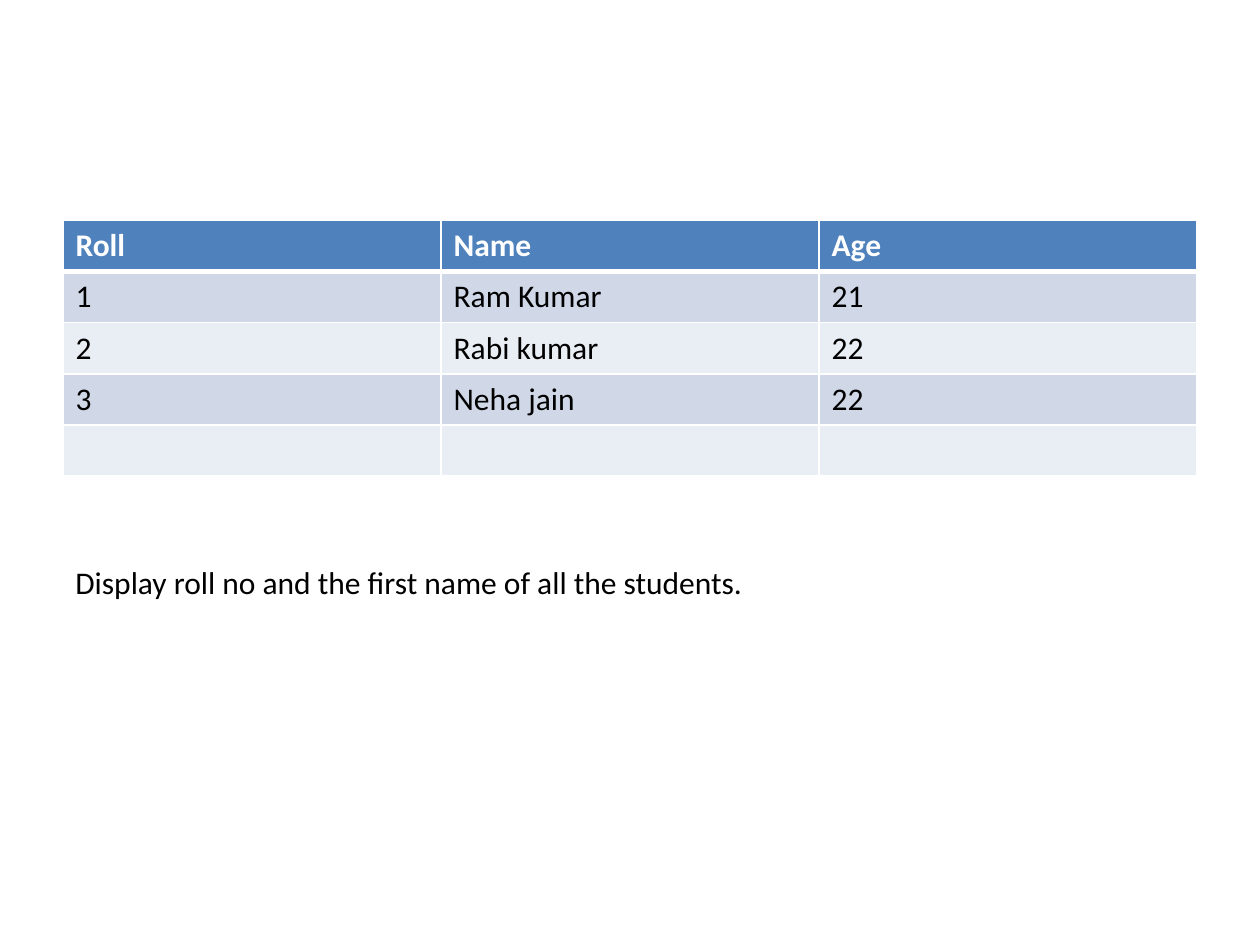
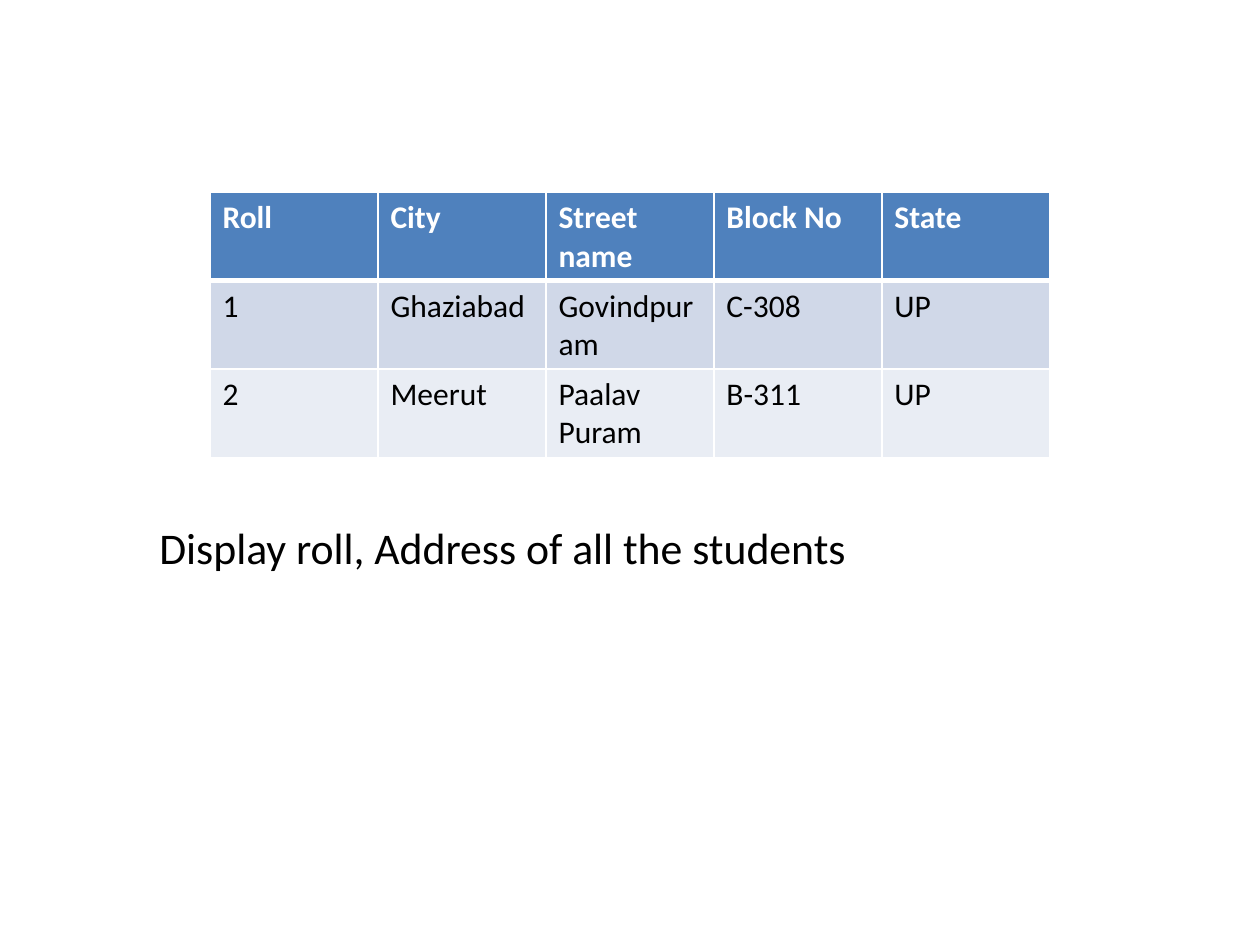
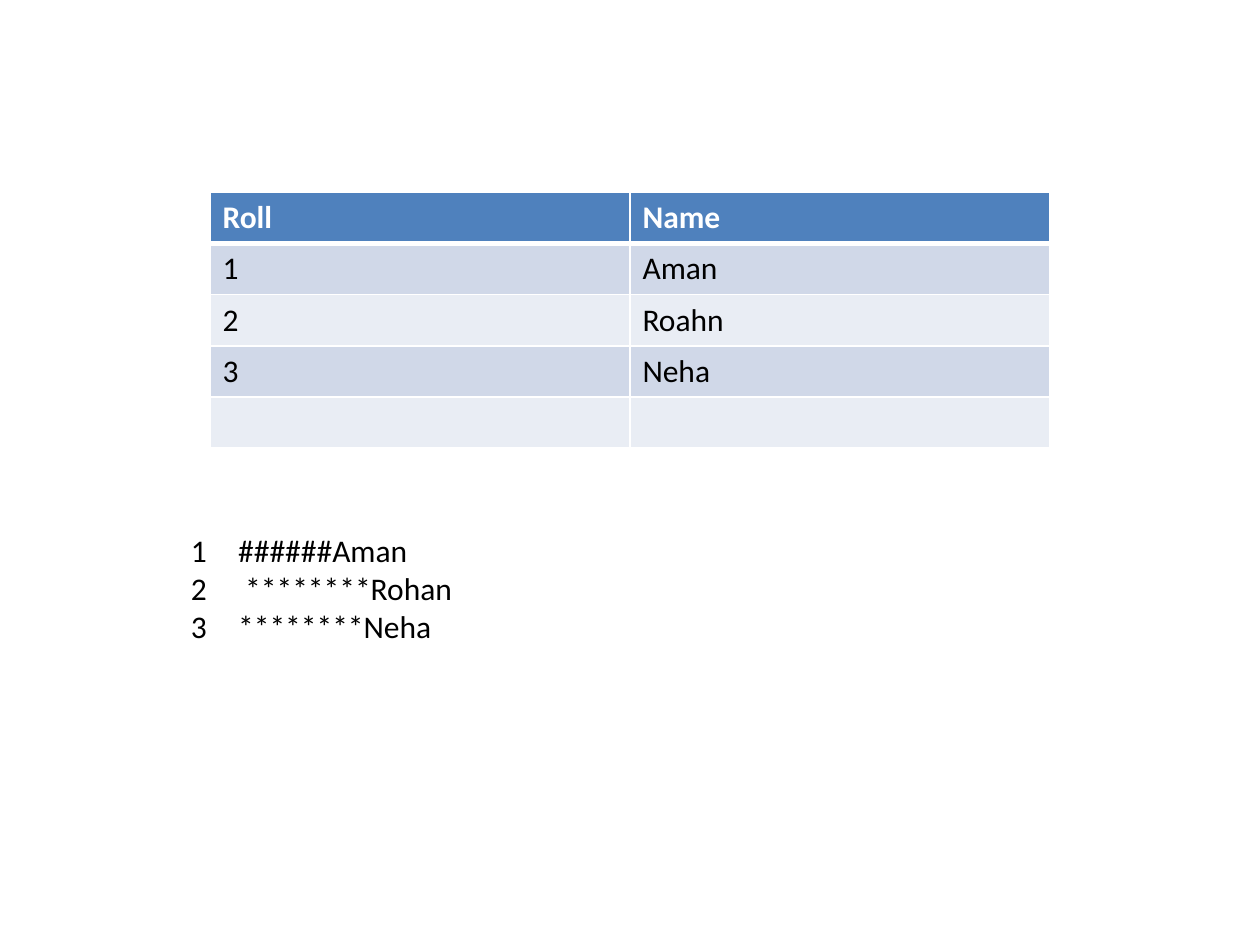
from dataclasses import dataclass

from lxml.etree import SubElement
from pptx import Presentation
from pptx.dml.color import RGBColor as Color
from pptx.enum.text import MSO_AUTO_SIZE as AutoSize
from pptx.oxml import parse_xml
from pptx.oxml.ns import nsdecls, qn
from pptx.util import Pt


@dataclass(frozen=True)
class Theme:
    font: str = "Calibri"
    header: str = "4F81BD"
    bands: tuple = ("D0D8E8", "E9EDF4")
    light: str = "FFFFFF"
    dark: str = "000000"
    normal: int = 18
    large: int = 25
    thin: int = 1
    thick: int = 3
    row_height: float = 29.2
    number_indent: int = 27


theme = Theme()


def write_text(paragraph, text, size, color, bold=False):
    if not text:
        return
    run = paragraph.add_run()
    run.text = text
    for name, value in {"name": theme.font, "size": Pt(size), "bold": bold}.items():
        setattr(run.font, name, value)
    run.font.color.rgb = Color.from_string(color)


def draw_borders(cell, widths):
    properties = cell._tc.get_or_add_tcPr()
    for position, (side, width) in enumerate(widths.items()):
        border = parse_xml(
            f'<a:{side} {nsdecls("a")} w="{Pt(width)}"><a:solidFill>'
            f'<a:srgbClr val="{theme.light}"/></a:solidFill></a:{side}>'
        )
        properties.insert(position, border)


slides = [
    {
        "table_at": (36, 126, 648),
        "rows": [
            ("Roll", "Name", "Age"),
            ("1", "Ram Kumar", "21"),
            ("2", "Rabi kumar", "22"),
            ("3", "Neha jain", "22"),
            ("", "", ""),
        ],
        "task_at": (36, 318, 582, 29),
        "task": ["Display roll no and the first name of all the students."],
        "size": theme.normal,
        "numbered": False,
    },
    {
        "table_at": (120, 110, 480),
        "rows": [
            ("Roll", "City", "Street name", "Block No", "State"),
            ("1", "Ghaziabad", "Govindpuram", "C-308", "UP"),
            ("2", "Meerut", "Paalav Puram", "B-311", "UP"),
        ],
        "task_at": (84, 294, 408, 37.5),
        "task": ["Display roll, Address of all the students"],
        "size": theme.large,
        "numbered": False,
    },
    {
        "table_at": (120, 110, 480),
        "rows": [
            ("Roll", "Name"),
            ("1", "Aman"),
            ("2", "Roahn"),
            ("3", "Neha"),
            ("", ""),
        ],
        "task_at": (102, 300, 480, 94.5),
        "task": ["######Aman", " ********Rohan", "********Neha"],
        "size": theme.normal,
        "numbered": True,
    },
]

presentation = Presentation()
presentation.slide_width = Pt(720)
presentation.slide_height = Pt(540)
blank_layout = presentation.slide_layouts[6]

for content in slides:
    slide = presentation.slides.add_slide(blank_layout)

    rows = content["rows"]
    left, top, width = content["table_at"]
    table = slide.shapes.add_table(
        len(rows), len(rows[0]),
        Pt(left), Pt(top), Pt(width), Pt(theme.row_height * len(rows)),
    ).table
    for row in table.rows:
        row.height = Pt(theme.row_height)
    for row_index, texts in enumerate(rows):
        is_header = row_index == 0
        fill = theme.header if is_header else theme.bands[(row_index - 1) % 2]
        color = theme.light if is_header else theme.dark
        for column_index, text in enumerate(texts):
            cell = table.cell(row_index, column_index)
            cell.fill.solid()
            cell.fill.fore_color.rgb = Color.from_string(fill)
            write_text(cell.text_frame.paragraphs[0], text, theme.normal, color, is_header)
            draw_borders(cell, {
                "lnL": theme.thin,
                "lnR": theme.thin,
                "lnT": theme.thick if row_index == 1 else theme.thin,
                "lnB": theme.thick if is_header else theme.thin,
            })

    task_box = slide.shapes.add_textbox(*map(Pt, content["task_at"]))
    frame = task_box.text_frame
    for name, value in {"word_wrap": True, "auto_size": AutoSize.SHAPE_TO_FIT_TEXT}.items():
        setattr(frame, name, value)
    for index, text in enumerate(content["task"]):
        paragraph = frame.add_paragraph() if index else frame.paragraphs[0]
        write_text(paragraph, text, content["size"], theme.dark)
        if content["numbered"]:
            properties = paragraph._p.get_or_add_pPr()
            properties.set("marL", str(Pt(theme.number_indent)))
            properties.set("indent", str(-Pt(theme.number_indent)))
            SubElement(properties, qn("a:buAutoNum"), type="arabicPlain")

presentation.save("out.pptx")
